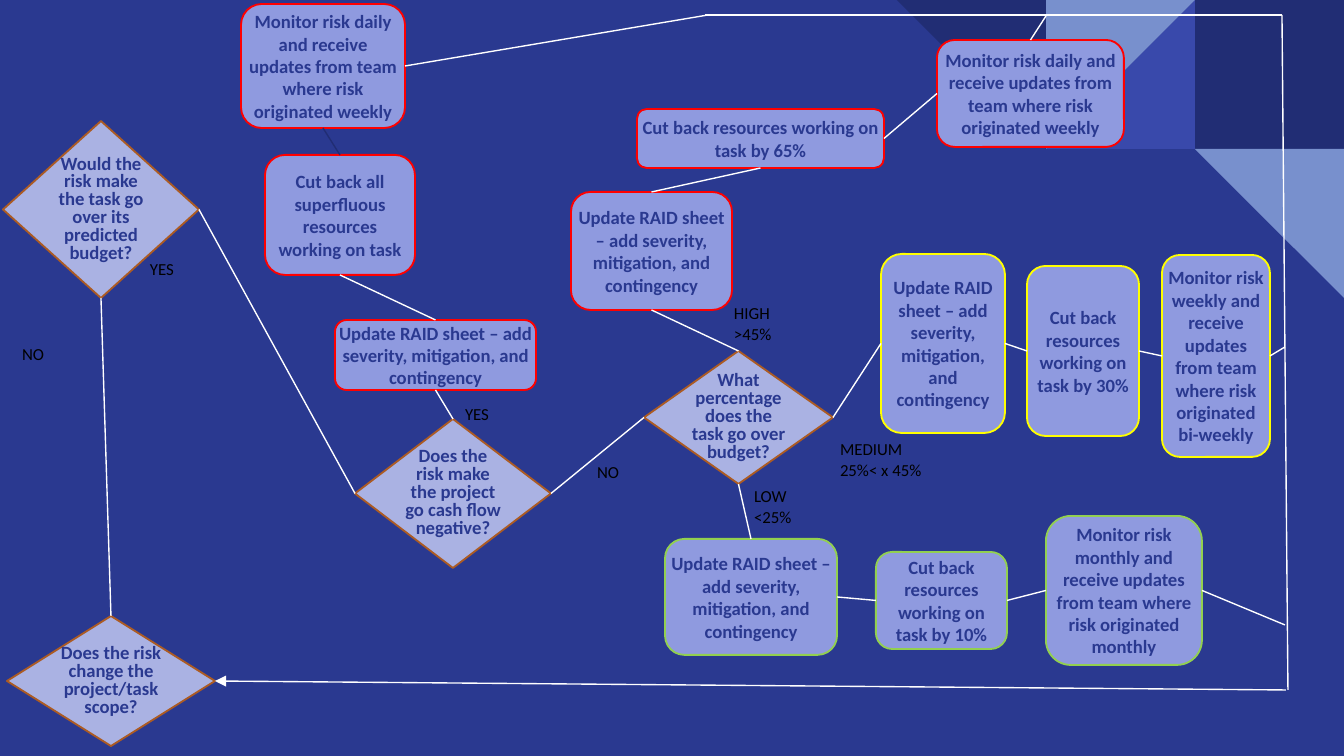
from pptx import Presentation
from pptx.dml.color import RGBColor
from pptx.enum.shapes import MSO_CONNECTOR, MSO_SHAPE as SHAPE
from pptx.enum.text import MSO_ANCHOR as ANCHOR, MSO_AUTO_SIZE as AUTO, PP_ALIGN as ALIGN
from pptx.oxml.ns import qn
from pptx.util import Pt
from lxml.etree import SubElement

EMU_PER_PX = 914400 / 134.4
WIDTH, HEIGHT, TILE = 1344, 756, 149
TOP, LEFT, BOTTOM, RIGHT = range(4)

COLORS = {
    "back": "2A3990", "dark": "212D74", "mid": "3949AB", "light": "7890CD",
    "decision": "AAB2E3", "action": "8F9ADF", "brown": "AC5B23",
    "red": "FF0000", "yellow": "FFFF00", "green": "92D050",
    "white": "FFFFFF", "black": "000000",
}

# Corner tiles: columns from the right edge, row, shape, rotation, color
TILES = [
    (1, 0, SHAPE.RECTANGLE, 0, "dark"),
    (2, 0, SHAPE.RIGHT_TRIANGLE, 270, "mid"),
    (2, 0, SHAPE.RIGHT_TRIANGLE, 90, "light"),
    (3, 0, SHAPE.RIGHT_TRIANGLE, 180, "dark"),
    (1, 1, SHAPE.RIGHT_TRIANGLE, 180, "light"),
]

RAID = "Update RAID sheet – add severity, mitigation, and contingency"
CUT = "Cut back resources working on task by "
DAILY = "Monitor risk daily and receive updates from team where risk originated weekly"
WEEKLY = "Monitor risk weekly and receive updates from team where risk originated bi-weekly"
MONTHLY = "Monitor risk monthly and receive updates from team where risk originated monthly"

DECISIONS = {
    "budget": ("Would the risk make the task go over its predicted budget?", (3, 121, 196, 177)),
    "scope": ("Does the risk change the project/task scope?", (7, 616, 208, 130)),
    "cash flow": ("Does the risk make the project go cash flow negative?", (355, 419, 196, 149)),
    "overrun": ("What percentage does the task go over budget?", (644, 351, 189, 133)),
}

ACTIONS = {
    "cash raid": (RAID, "red", (335, 320, 201, 70)),
    "cash cut": ("Cut back all superfluous resources working on task", "red", (265, 155, 150, 120)),
    "cash monitor": (DAILY, "red", (241, 4, 164, 124)),
    "high raid": (RAID, "red", (571, 192, 161, 118)),
    "high cut": (CUT + "65%", "red", (637, 109, 247, 59)),
    "high monitor": (DAILY, "red", (937, 40, 187, 107)),
    "medium raid": (RAID, "yellow", (881, 254, 124, 179)),
    "medium cut": (CUT + "30%", "yellow", (1027, 266, 112, 170)),
    "medium monitor": (WEEKLY, "yellow", (1162, 255, 108, 202)),
    "low raid": (RAID, "green", (665, 539, 172, 116)),
    "low cut": (CUT + "10%", "green", (876, 552, 131, 97)),
    "low monitor": (MONTHLY, "green", (1046, 516, 156, 149)),
}

LABELS = [
    ("NO", (22, 344, 48, 20)),
    ("YES", (150, 259, 42, 20)),
    ("NO", (597, 462, 48, 20)),
    ("YES", (465, 404, 39, 20)),
    ("LOW\n<25%", (754, 486, 52, 41)),
    ("MEDIUM\n25%< x 45%", (840, 439, 108, 41)),
    ("HIGH\n>45%", (734, 303, 67, 41)),
]

# Each end is a (step, side) joint or an (x, y) point
LINKS = [
    (("budget", BOTTOM), ("scope", TOP)),
    (("budget", RIGHT), ("cash flow", LEFT)),
    (("cash raid", BOTTOM), ("cash flow", TOP)),
    (("overrun", LEFT), ("cash flow", RIGHT)),
    (("cash cut", BOTTOM), ("cash raid", TOP)),
    (("overrun", TOP), ("high raid", BOTTOM)),
    (("overrun", BOTTOM), ("low raid", TOP)),
    (("overrun", RIGHT), ("medium raid", LEFT)),
    (("high cut", BOTTOM), ("high raid", TOP)),
    (("high monitor", LEFT), ("high cut", RIGHT)),
    (("medium raid", RIGHT), ("medium cut", LEFT)),
    (("medium cut", RIGHT), ("medium monitor", LEFT)),
    (("low raid", RIGHT), ("low cut", LEFT)),
    (("low cut", RIGHT), ("low monitor", LEFT)),
    ((708, 15), ("cash monitor", RIGHT)),
    (("high monitor", TOP), (1046, 16)),
    (("low monitor", RIGHT), (1285, 625)),
    (("medium monitor", RIGHT), (1285, 347)),
    ((705, 15), (1282, 15)),
    ((1288, 690), (1282, 15)),
]


def px(*values):
    return [round(value * EMU_PER_PX) for value in values]


def rgb(name):
    return RGBColor.from_string(COLORS[name])


def write(frame, text, *, size, color, bold=False, align=ALIGN.LEFT,
          anchor=ANCHOR.TOP, spacing=None):
    frame.margin_left = frame.margin_top = frame.margin_right = frame.margin_bottom = 0
    frame.word_wrap = True
    frame.vertical_anchor = anchor
    paragraph = frame.paragraphs[0]
    paragraph.text = text
    paragraph.alignment = align
    paragraph.line_spacing = spacing
    for run in paragraph.runs:
        run.font.name = "Calibri"
        run.font.size = Pt(size)
        run.font.bold = bold
        run.font.color.rgb = rgb(color)


def add_shape(kind, box, fill, outline=None):
    shape = slide.shapes.add_shape(kind, *px(*box))
    shape.shadow.inherit = False
    shape.fill.solid()
    shape.fill.fore_color.rgb = rgb(fill)
    if outline:
        shape.line.color.rgb = rgb(outline)
        shape.line.width = Pt(1)
    else:
        shape.line.fill.background()
    return shape


def add_step(kind, box, text, fill, outline, spacing=None):
    step = add_shape(kind, box, fill, outline)
    write(step.text_frame, text, size=10, color="back", bold=True,
          align=ALIGN.CENTER, anchor=ANCHOR.MIDDLE, spacing=spacing)
    return step


def add_link(start, end, color="white", arrow=False):
    points = [(0, 0) if at[0] in steps else at for at in (start, end)]
    link = slide.shapes.add_connector(MSO_CONNECTOR.STRAIGHT, *px(*points[0], *points[1]))
    for at, join in ((start, link.begin_connect), (end, link.end_connect)):
        if at[0] in steps:
            join(steps[at[0]], at[1])
    link.line.color.rgb = rgb(color)
    link.line.width = Pt(0.75)
    if arrow:
        SubElement(link.line._get_or_add_ln(), qn("a:tailEnd"), type="triangle")
    SubElement(link._element.spPr, qn("a:effectLst"))


presentation = Presentation()
presentation.slide_width, presentation.slide_height = px(WIDTH, HEIGHT)
slide = presentation.slides.add_slide(presentation.slide_layouts[6])
slide.background.fill.solid()
slide.background.fill.fore_color.rgb = rgb("back")

# Corner pattern
for column, row, kind, rotation, color in TILES:
    tile = add_shape(kind, (WIDTH - column * TILE, row * TILE, TILE, TILE), color)
    tile.rotation = rotation

# Decisions and actions
steps = {}
for name, (text, box) in DECISIONS.items():
    steps[name] = add_step(SHAPE.DIAMOND, box, text, "decision", "brown", spacing=0.8)
for name, (text, outline, box) in ACTIONS.items():
    steps[name] = add_step(SHAPE.ROUNDED_RECTANGLE, box, text, "action", outline)

# Branch labels
for text, box in LABELS:
    label = slide.shapes.add_textbox(*px(*box))
    write(label.text_frame, text, size=9, color="black")
    label.text_frame.auto_size = AUTO.SHAPE_TO_FIT_TEXT

# Links, with the return path to the scope decision last
for start, end in LINKS:
    add_link(start, end)
add_link(("cash monitor", BOTTOM), ("cash cut", TOP), color="dark")
add_link((1286, 690), ("scope", RIGHT), arrow=True)

presentation.save("out.pptx")
